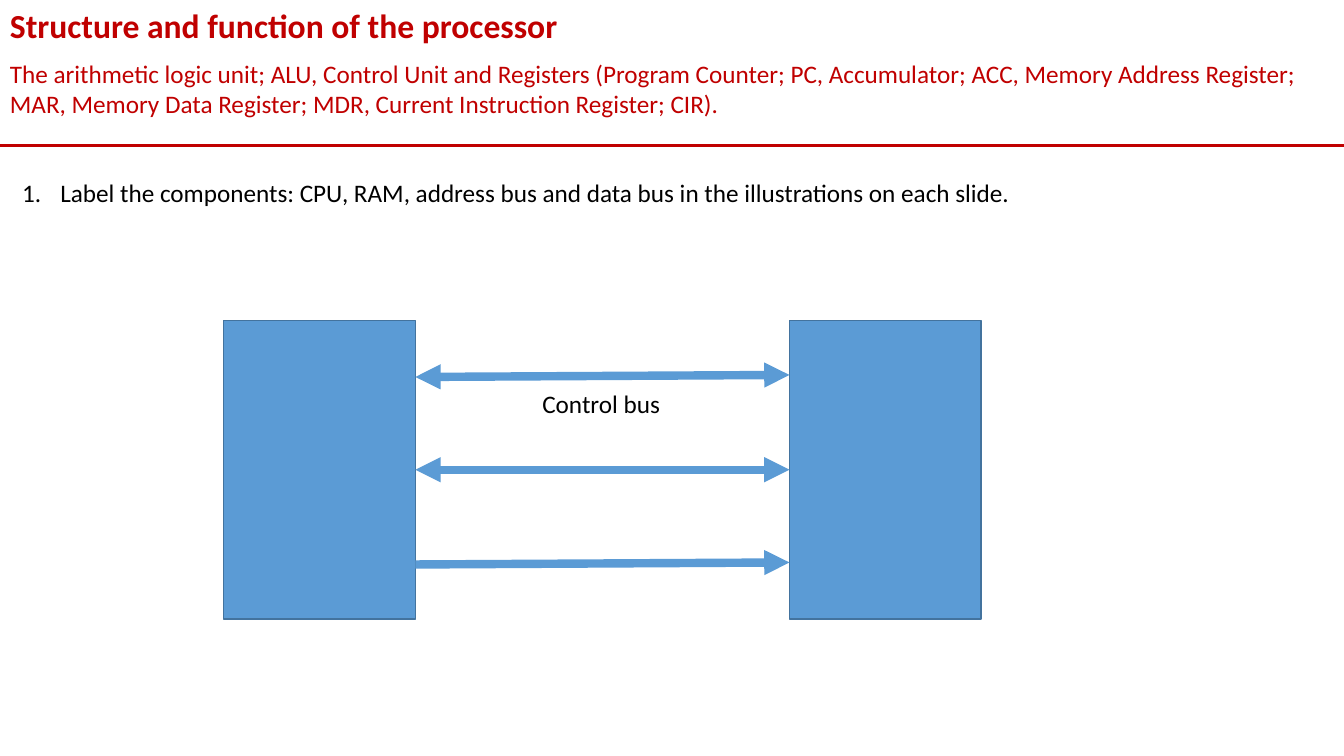
"""Builds a slide on the structure and function of the processor."""
from lxml.etree import SubElement
from pptx import Presentation
from pptx.dml.color import RGBColor
from pptx.enum.shapes import MSO_CONNECTOR, MSO_SHAPE
from pptx.enum.text import MSO_AUTO_SIZE
from pptx.oxml.ns import qn
from pptx.util import Inches, Pt

COLORS = {"red": "C00000", "black": "000000", "blue": "5B9BD5", "edge": "43739E"}
WIDTH, HEIGHT = 13.33, 7.5
RIGHT_SIDE, LEFT_SIDE = 3, 1


def color(name):
    return RGBColor.from_string(COLORS[name])


def write(frame, text, size=18, ink="black", bold=False, number_indent=None):
    paragraph = frame.paragraphs[0]
    run = paragraph.add_run()
    run.text = text
    run.font.name = "Calibri"
    run.font.size = Pt(size)
    run.font.bold = bold
    run.font.color.rgb = color(ink)
    if number_indent:
        properties = paragraph._p.get_or_add_pPr()
        properties.set("marL", str(Inches(number_indent)))
        properties.set("indent", str(-Inches(number_indent)))
        SubElement(properties, qn("a:buFont"), typeface="+mj-lt")
        SubElement(properties, qn("a:buAutoNum"), type="arabicPeriod")


class ProcessorSlide:
    def __init__(self, slide, font_ink="black"):
        self.shapes = slide.shapes
        self.font_ink = font_ink

    def text(self, content, left, top, width, height, wrap=True, **style):
        box = self.shapes.add_textbox(*map(Inches, (left, top, width, height)))
        box.text_frame.word_wrap = wrap
        box.text_frame.auto_size = MSO_AUTO_SIZE.SHAPE_TO_FIT_TEXT
        write(box.text_frame, content, **{"ink": self.font_ink, **style})

    def block(self, left, top, width, height):
        block = self.shapes.add_shape(
            MSO_SHAPE.RECTANGLE, *map(Inches, (left, top, width, height)))
        block.shadow.inherit = False
        block.fill.solid()
        block.fill.fore_color.rgb = color("blue")
        block.line.color.rgb = color("edge")
        block.line.width = Pt(1)
        return block

    def line(self, start, end, ink, weight, head=False, tail=False):
        line = self.shapes.add_connector(
            MSO_CONNECTOR.STRAIGHT, *map(Inches, (*start, *end)))
        line.line.color.rgb = color(ink)
        line.line.width = Pt(weight)
        outline = line.line._get_or_add_ln()
        for wanted, tag in ((head, "a:headEnd"), (tail, "a:tailEnd")):
            if wanted:
                SubElement(outline, qn(tag), type="triangle")
        SubElement(line._element.spPr, qn("a:effectLst"))
        return line


def main():
    presentation = Presentation()
    presentation.slide_width = Inches(WIDTH)
    presentation.slide_height = Inches(HEIGHT)
    page = ProcessorSlide(presentation.slides.add_slide(presentation.slide_layouts[6]))

    page.line((0, 1.44), (WIDTH, 1.44), "red", 2.25)
    page.text(
        "The arithmetic logic unit; ALU, Control Unit and Registers (Program Counter; "
        "PC, Accumulator; ACC, Memory Address Register; MAR, Memory Data Register; MDR, "
        "Current Instruction Register; CIR).",
        0, 0.53, WIDTH, 0.71, ink="red")
    page.text("Structure and function of the processor",
              0, 0, WIDTH, 0.5, size=24, ink="red", bold=True)
    page.text("Label the components: CPU, RAM, address bus and data bus in the "
              "illustrations on each slide.",
              0.12, 1.71, 10.05, 0.4, wrap=False, number_indent=0.38)

    block_left, block_width, memory_left = 2.22, 1.9, 7.83
    processor, memory = (page.block(left, 3.18, block_width, 2.96)
                         for left in (block_left, memory_left))

    bus_left, bus_top, bus_gap, bus_rise = block_left + block_width, 3.74, 0.93, 0.02
    control_bus, middle_bus, one_way_bus = (
        page.line((bus_left, bus_top + row * bus_gap),
                  (memory_left, bus_top + row * bus_gap - bus_rise),
                  "blue", 6, head=two_way, tail=True)
        for row, two_way in enumerate((True, True, False)))
    middle_bus.begin_connect(processor, RIGHT_SIDE)
    middle_bus.end_connect(memory, LEFT_SIDE)
    page.text("Control bus", 5.28, 3.8, 1.38, 0.4, wrap=False)

    presentation.save("out.pptx")


if __name__ == "__main__":
    main()
